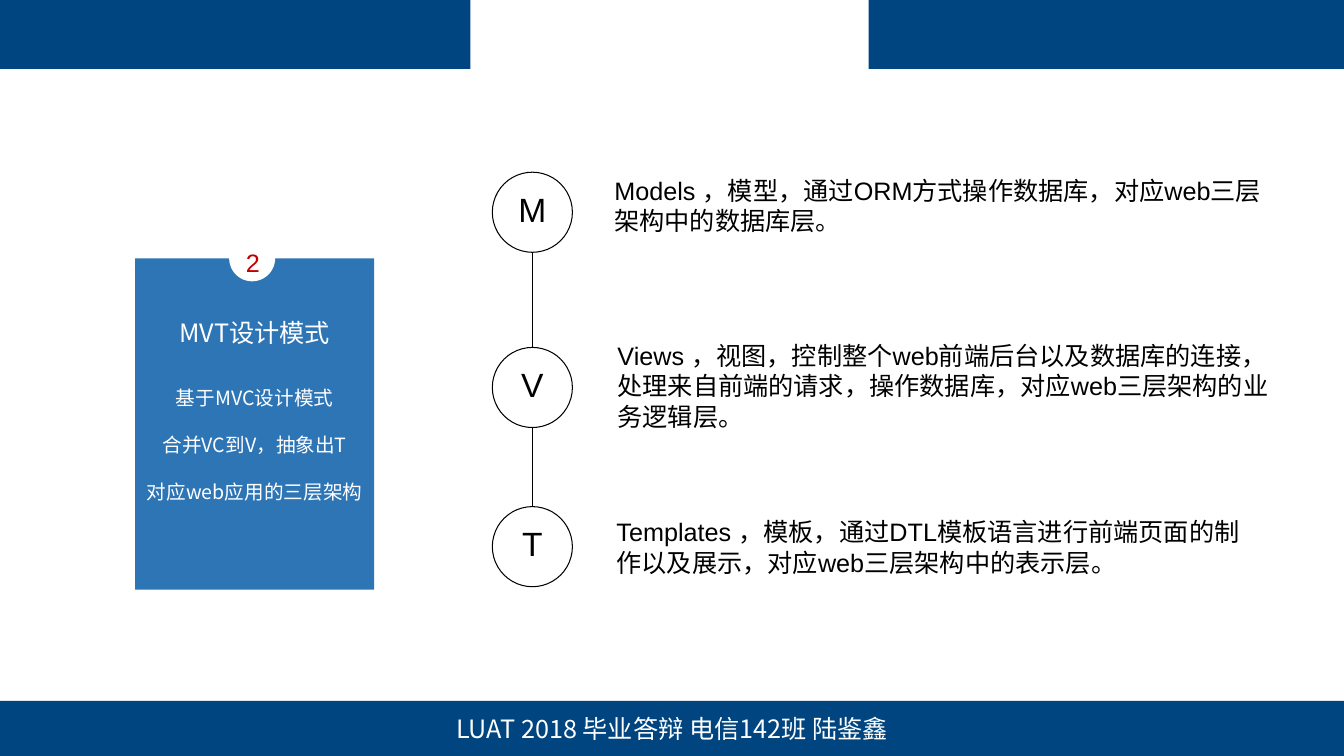
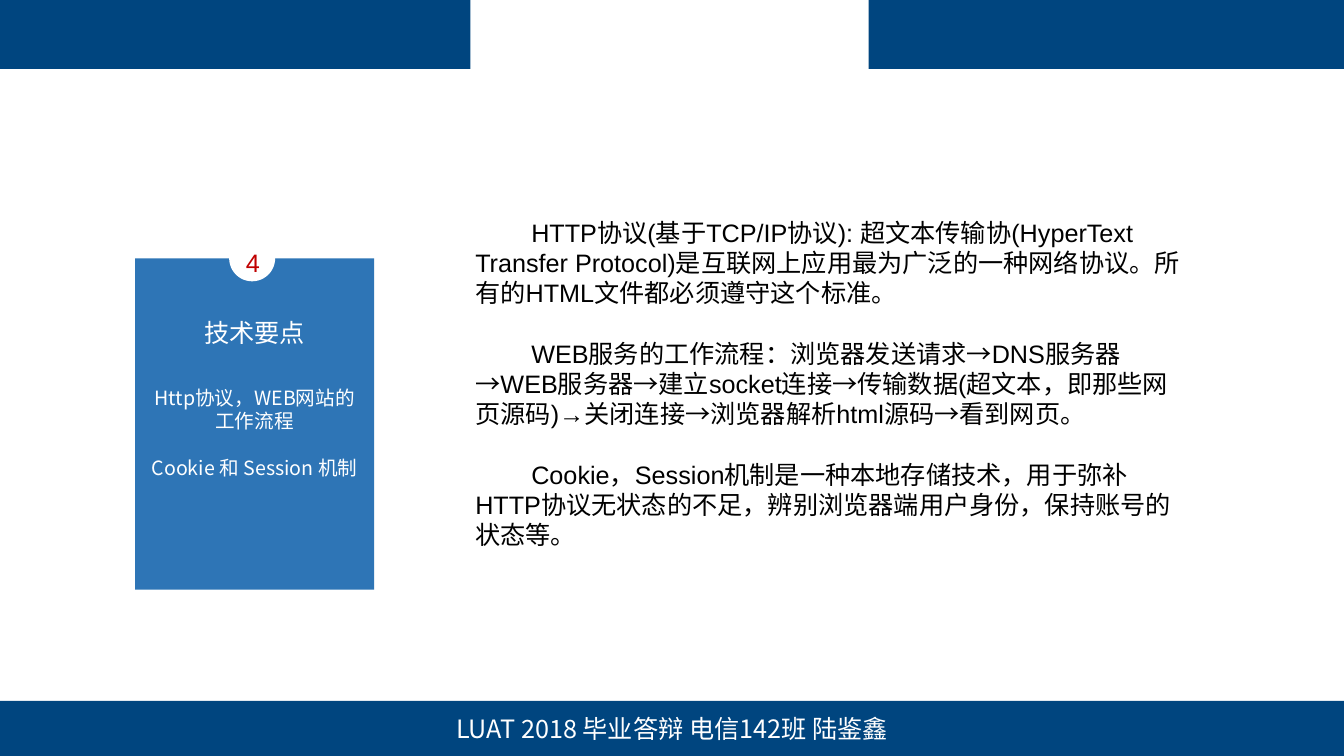
from dataclasses import dataclass
from itertools import pairwise

from lxml.etree import SubElement
from pptx import Presentation
from pptx.dml.color import RGBColor
from pptx.enum.shapes import MSO_CONNECTOR, MSO_SHAPE
from pptx.enum.text import MSO_ANCHOR, PP_ALIGN
from pptx.oxml.ns import qn
from pptx.util import Emu, Pt

EMU_PER_PIXEL = 9080
WIDTH, HEIGHT = 1343, 755


@dataclass(frozen=True)
class Theme:
    navy: str = "00457F"
    blue: str = "2E75B6"
    red: str = "C00000"
    black: str = "000000"
    white: str = "FFFFFF"
    latin: str = "Arial"
    cjk: str = "Noto Sans CJK SC"
    note: int = 14
    body: int = 18
    letter: int = 24
    leading: float = 1.2
    hairline: float = 0.74


def px(length):
    return Emu(round(length * EMU_PER_PIXEL))


def write(shape, paragraphs, *, theme, size=None, font=None, color=None,
          align=PP_ALIGN.LEFT, anchor=MSO_ANCHOR.TOP, top=5, gap=0,
          indent=0, fixed=True):
    size = size or theme.body
    frame = shape.text_frame
    frame.word_wrap = True
    frame.vertical_anchor = anchor
    frame.margin_left = frame.margin_right = px(10)
    frame.margin_top, frame.margin_bottom = px(top), px(5)
    for position, content in enumerate(paragraphs):
        paragraph = frame.add_paragraph() if position else frame.paragraphs[0]
        paragraph.alignment = align
        if fixed:
            paragraph.line_spacing = Pt(size * theme.leading)
        if gap and position < len(paragraphs) - 1:
            paragraph.space_after = Pt(gap)
        if indent:
            paragraph._p.get_or_add_pPr().set("indent", str(px(indent)))
        run = paragraph.add_run()
        run.text = content
        run.font.size = Pt(size)
        run.font.name = font or theme.latin
        run.font.color.rgb = RGBColor.from_string(color or theme.black)
        east_asian = SubElement(run._r.get_or_add_rPr(), qn("a:ea"))
        east_asian.set("typeface", theme.cjk)


class Deck:
    def __init__(self, theme):
        self.theme = theme
        self.presentation = Presentation()
        self.presentation.slide_width = px(WIDTH)
        self.presentation.slide_height = px(HEIGHT)
        self.slide = None

    def shape(self, kind, left, top, width, height, fill, line=None):
        element = self.slide.shapes.add_shape(
            kind, px(left), px(top), px(width), px(height))
        element.shadow.inherit = False
        element.fill.solid()
        element.fill.fore_color.rgb = RGBColor.from_string(fill)
        if line:
            element.line.color.rgb = RGBColor.from_string(line)
            element.line.width = Pt(self.theme.hairline)
        else:
            element.line.fill.background()
        return element

    def text(self, left, top, width, height, paragraphs, **style):
        box = self.slide.shapes.add_textbox(
            px(left), px(top), px(width), px(height))
        write(box, paragraphs, theme=self.theme, **style)

    def connector(self, x, top, bottom):
        link = self.slide.shapes.add_connector(
            MSO_CONNECTOR.STRAIGHT, px(x), px(top), px(x), px(bottom))
        link.line.color.rgb = RGBColor.from_string(self.theme.black)
        link.line.width = Pt(self.theme.hairline)
        SubElement(link._element.spPr, qn("a:effectLst"))

    def page(self, number, heading, points):
        layout = self.presentation.slide_layouts[6]
        self.slide = self.presentation.slides.add_slide(layout)
        self.bands()
        self.card(number, heading, points)

    def bands(self):
        navy = self.theme.navy
        self.shape(MSO_SHAPE.RECTANGLE, 868, 0, WIDTH - 868, 69, navy)
        self.shape(MSO_SHAPE.RECTANGLE, 0, 0, 470, 69, navy)
        footer = self.shape(MSO_SHAPE.RECTANGLE, 0, 700, WIDTH, 55, navy)
        write(footer, ["LUAT 2018 毕业答辩 电信142班 陆鉴鑫"],
              theme=self.theme, font=self.theme.cjk, color=self.theme.white,
              align=PP_ALIGN.CENTER, anchor=MSO_ANCHOR.MIDDLE)

    def card(self, number, heading, points):
        theme = self.theme
        centred = dict(font=theme.cjk, color=theme.white,
                       align=PP_ALIGN.CENTER)
        panel = self.shape(MSO_SHAPE.RECTANGLE, 135, 258, 239, 331, theme.blue)
        write(panel, points, theme=theme, size=theme.note, top=127,
              gap=theme.note * theme.leading, **centred)
        badge = self.shape(MSO_SHAPE.FLOWCHART_CONNECTOR, 229, 235, 46, 46,
                           theme.white)
        write(badge, [number], theme=theme, color=theme.red, fixed=False)
        self.text(168, 312, 173, 40, [heading], **centred)

    def node(self, letter, left, top, diameter):
        circle = self.shape(MSO_SHAPE.OVAL, left, top, diameter, diameter,
                            self.theme.white, self.theme.black)
        write(circle, [letter], theme=self.theme, size=self.theme.letter,
              align=PP_ALIGN.CENTER, fixed=False)


deck = Deck(Theme())

deck.page("2", "MVT设计模式",
          ["基于MVC设计模式", "合并VC到V，抽象出T", "对应web应用的三层架构"])
node_left, diameter = 492, 80
layers = [
    ("M", 172, (604, 170, 682, 70),
     "Models ，模型，通过ORM方式操作数据库，对应web三层架构中的数据库层。"),
    ("V", 347, (607, 335, 682, 101),
     "Views ，视图，控制整个web前端后台以及数据库的连接，处理来自前端的请求，"
     "操作数据库，对应web三层架构的业务逻辑层。"),
    ("T", 506, (606, 511, 662, 70),
     "Templates ，模板，通过DTL模板语言进行前端页面的制作以及展示，"
     "对应web三层架构中的表示层。"),
]
for letter, node_top, area, description in layers:
    deck.node(letter, node_left, node_top, diameter)
    deck.text(*area, [description])
for upper, lower in pairwise(layers):
    deck.connector(node_left + diameter / 2, upper[1] + diameter, lower[1])

deck.page("4", "技术要点",
          ["Http协议，WEB网站的工作流程", "Cookie 和 Session 机制"])
deck.text(465, 212, 735, 373, [
    "HTTP协议(基于TCP/IP协议): 超文本传输协(HyperText Transfer Protocol)"
    "是互联网上应用最为广泛的一种网络协议。所有的HTML文件都必须遵守这个标准。",
    "WEB服务的工作流程：浏览器发送请求→DNS服务器→WEB服务器→建立socket连接"
    "→传输数据(超文本，即那些网页源码)→关闭连接→浏览器解析html源码→看到网页。",
    "Cookie，Session机制是一种本地存储技术，用于弥补HTTP协议无状态的不足，"
    "辨别浏览器端用户身份，保持账号的状态等。",
], indent=56, gap=deck.theme.body * deck.theme.leading)

deck.presentation.save("out.pptx")
